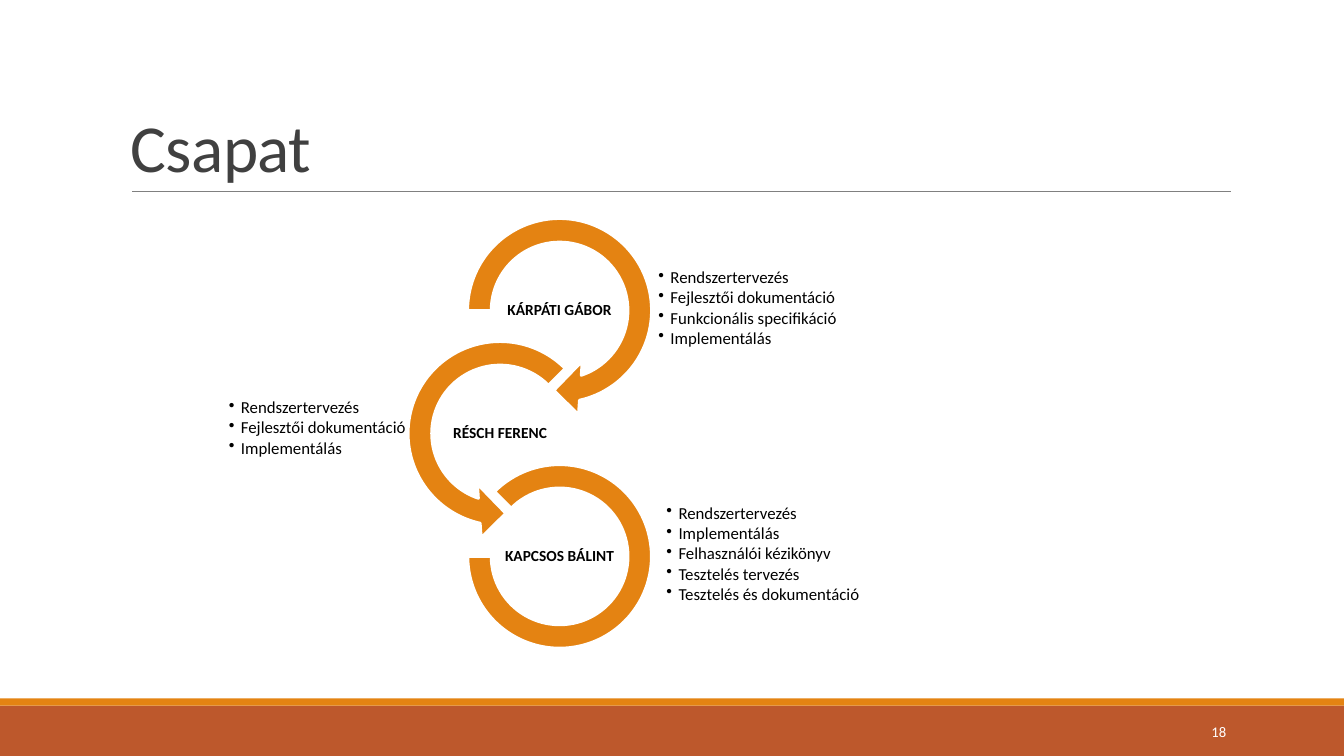
import pptx
import pptx.util
import pptx.dml.color
import pptx.enum.shapes
import pptx.enum.text
import pptx.oxml
import lxml.etree
from pptx.oxml import ns

Inches, Pt = pptx.util.Inches, pptx.util.Pt
SHAPE = pptx.enum.shapes.MSO_SHAPE
ALIGN = pptx.enum.text.PP_ALIGN
ANCHOR = pptx.enum.text.MSO_ANCHOR

WIDTH, HEIGHT = 13.33, 7.5
FONT = "Calibri"
COLORS = {"orange": "E48312", "rust": "BD582C", "rule": "808080",
          "title": "404040", "text": "000000", "white": "FFFFFF"}

TITLE = "Csapat"
PAGE_NUMBER = "18"
# Arc shape, its size and adjustments, column (0 left, 1 right),
# left, middle and width of the task list
TEAM = [
    {"name": "KÁRPÁTI GÁBOR", "arc": SHAPE.CIRCULAR_ARROW, "size": 2.12,
     "adjust": (0.11, 11.423, 45, 108, 0.125), "column": 1, "list": (6.52, 3.06, 2.39),
     "tasks": ["Rendszertervezés", "Fejlesztői dokumentáció",
               "Funkcionális specifikáció", "Implementálás"]},
    {"name": "RÉSCH FERENC", "arc": SHAPE.LEFT_CIRCULAR_ARROW, "size": 2.12,
     "adjust": (0.11, 11.423, 63, 189, 0.125), "column": 0, "list": (2.26, 4.25, 3.15),
     "tasks": ["Rendszertervezés", "Fejlesztői dokumentáció", "Implementálás"]},
    {"name": "KAPCSOS BÁLINT", "arc": SHAPE.BLOCK_ARC, "size": 1.82,
     "adjust": (135, 108, 0.127), "column": 1, "list": (6.6, 5.5, 4.53),
     "tasks": ["Rendszertervezés", "Implementálás", "Felhasználói kézikönyv",
               "Tesztelés tervezés", "Tesztelés és dokumentáció"]},
]
COLUMN_CENTERS = (4.96, 5.55)
FIRST_ROW, ROW_STEP = 3.08, 1.22
NAME_WIDTH, NAME_HEIGHT, LIST_HEIGHT = 1.18, 0.59, 0.85
INSET, BULLET_INDENT = 0.01, 0.12


def color(name):
    return pptx.dml.color.RGBColor.from_string(COLORS[name])


def add_filled(page, kind, area, fill, outline=None):
    shape = page.shapes.add_shape(kind, *map(Inches, area))
    shape.shadow.inherit = False
    shape.fill.solid()
    shape.fill.fore_color.rgb = color(fill)
    if outline:
        shape.line.color.rgb = color(outline)
        shape.line.width = Pt(2)
    else:
        shape.line.fill.background()
    return shape


def add_text(page, area, lines, size, ink, align=ALIGN.LEFT, anchor=ANCHOR.MIDDLE,
             bold=False, spacing=0.9, after=0, inset=None):
    box = page.shapes.add_textbox(*map(Inches, area))
    frame = box.text_frame
    frame.word_wrap = True
    frame.vertical_anchor = anchor
    if inset is not None:
        frame.margin_left = frame.margin_right = Inches(inset)
        frame.margin_top = frame.margin_bottom = Inches(inset)
    frame.text = "\n".join(lines)
    for para in frame.paragraphs:
        para.alignment = align
        para.line_spacing = spacing
        para.space_after = Pt(after)
        for span in para.runs:
            span.font.name = FONT
            span.font.size = Pt(size)
            span.font.bold = bold
            span.font.color.rgb = color(ink)
    return frame


def add_bullets(frame):
    for para in frame.paragraphs:
        properties = para._p.get_or_add_pPr()
        properties.set("marL", str(Inches(BULLET_INDENT)))
        properties.set("indent", str(-Inches(BULLET_INDENT)))
        lxml.etree.SubElement(properties, ns.qn("a:buChar")).set("char", "•")


def add_frame(page):
    """Draw the footer bands, the title with its rule, and the page number."""
    add_filled(page, SHAPE.RECTANGLE, (0, 7, WIDTH, 0.5), "rust")
    add_filled(page, SHAPE.RECTANGLE, (0, 6.93, WIDTH, 0.07), "orange")
    rule = page.shapes.add_connector(pptx.enum.shapes.MSO_CONNECTOR.STRAIGHT,
                                     *map(Inches, (1.31, 1.9, 12.21, 1.9)))
    rule.line.color.rgb = color("rule")
    rule.line.width = Pt(0.5)
    lxml.etree.SubElement(rule._element.spPr, ns.qn("a:effectLst"))
    title = add_text(page, (1.2, 0.31, 11, 1.59), [TITLE], 48, "title",
                     anchor=ANCHOR.BOTTOM, spacing=0.85)
    title.paragraphs[0].runs[0]._r.get_or_add_rPr().set("spc", "-50")
    add_text(page, (10.83, 7.06, 1.43, 0.4), [PAGE_NUMBER], 10.5, "white",
             align=ALIGN.RIGHT, spacing=1.0)


def add_member(page, row, member):
    center_x = COLUMN_CENTERS[member["column"]]
    center_y = FIRST_ROW + row * ROW_STEP
    size = member["size"]
    arc = add_filled(page, member["arc"],
                     (center_x - size / 2, center_y - size / 2, size, size),
                     "orange", "white")
    for index, value in enumerate(member["adjust"]):
        arc.adjustments[index] = value
    left, middle, width = member["list"]
    add_bullets(add_text(page, (left, middle - LIST_HEIGHT / 2, width, LIST_HEIGHT),
                         member["tasks"], 12, "text", after=1.5, inset=INSET))
    add_text(page, (center_x - NAME_WIDTH / 2, center_y - NAME_HEIGHT / 2,
                    NAME_WIDTH, NAME_HEIGHT),
             [member["name"]], 11, "text", align=ALIGN.CENTER, bold=True, inset=INSET)


def main():
    deck = pptx.Presentation()
    deck.slide_width, deck.slide_height = Inches(WIDTH), Inches(HEIGHT)
    page = deck.slides.add_slide(deck.slide_layouts[6])
    add_frame(page)
    for row, member in enumerate(TEAM):
        add_member(page, row, member)
    deck.save("out.pptx")


if __name__ == "__main__":
    main()
